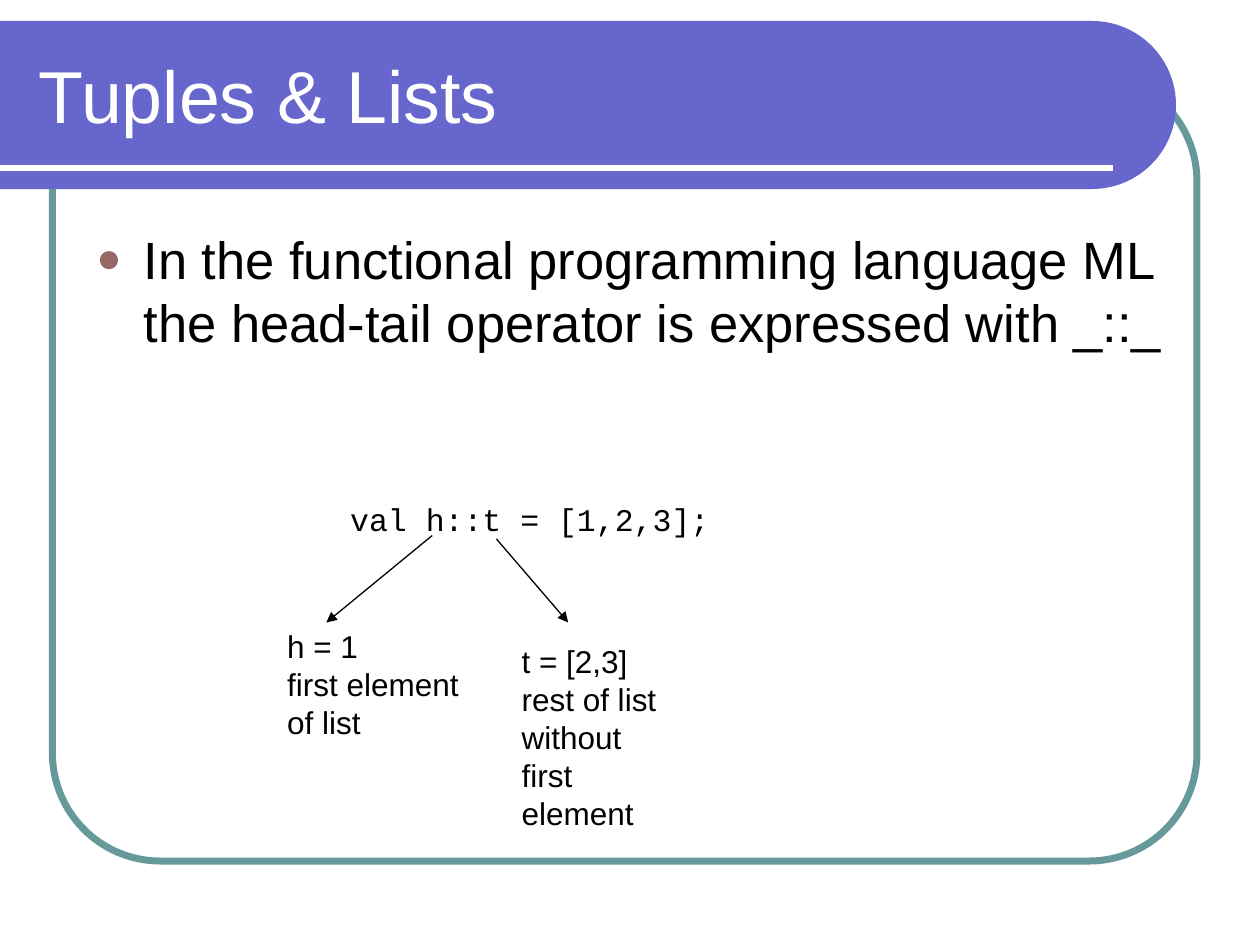
import math

from lxml import etree
from pptx import Presentation
from pptx.dml.color import RGBColor
from pptx.enum.shapes import MSO_CONNECTOR, MSO_SHAPE
from pptx.enum.text import MSO_ANCHOR, MSO_AUTO_SIZE, PP_ALIGN
from pptx.oxml.ns import qn
from pptx.util import Pt

ROUNDED = MSO_SHAPE.ROUNDED_RECTANGLE
STRAIGHT = MSO_CONNECTOR.STRAIGHT
MIDDLE, TOP = MSO_ANCHOR.MIDDLE, MSO_ANCHOR.TOP
FIT_SHAPE, NO_FIT = MSO_AUTO_SIZE.SHAPE_TO_FIT_TEXT, MSO_AUTO_SIZE.NONE
LEFT = PP_ALIGN.LEFT


def rgb(value):
    return RGBColor.from_string(value)


class Deck:
    sans, mono = "Arial", "Courier New"
    black, white = "000000", "FFFFFF"
    band_fill, frame_line, bullet_fill = "6666CC", "669999", "996666"

    def __init__(self, width, height):
        self.prs = Presentation()
        self.prs.slide_width, self.prs.slide_height = Pt(width), Pt(height)
        self.s = self.prs.slides.add_slide(self.prs.slide_layouts[5])

    def frame(self, x, y, w, h, radius, weight):
        sp = self.s.shapes.add_shape(ROUNDED, Pt(x), Pt(y), Pt(w), Pt(h))
        sp.adjustments[0] = radius
        sp.shadow.inherit = False
        sp.fill.background()
        sp.line.color.rgb = rgb(self.frame_line)
        sp.line.width = Pt(weight)

    def band(self, y, w, h):
        radius = h / 2
        cx, cy = w - radius, y + radius
        angles = [math.radians(a) for a in range(-90, 91, 3)]
        arc = [(Pt(cx + radius * math.cos(a)), Pt(cy + radius * math.sin(a)))
               for a in angles]
        builder = self.s.shapes.build_freeform(0, Pt(y))
        builder.add_line_segments(arc + [(0, Pt(y + h))], close=True)
        sp = builder.convert_to_shape()
        sp.shadow.inherit = False
        sp.fill.solid()
        sp.fill.fore_color.rgb = rgb(self.band_fill)
        sp.line.fill.background()

    def line(self, start, end, color, weight, arrow=False):
        sp = self.s.shapes.add_connector(STRAIGHT, *map(Pt, start + end))
        sp.line.color.rgb = rgb(color)
        sp.line.width = Pt(weight)
        if arrow:
            ln = sp.element.spPr.find(qn("a:ln"))
            etree.SubElement(ln, qn("a:tailEnd"), type="triangle")
        etree.SubElement(sp.element.spPr, qn("a:effectLst"))

    def style(self, p, size, color, font):
        p.alignment = LEFT
        p.font.size, p.font.name = Pt(size), font
        p.font.color.rgb = rgb(color)

    def title(self, text, x, y, w, h, size):
        sp = self.s.shapes.title
        sp.left, sp.top, sp.width, sp.height = map(Pt, (x, y, w, h))
        tf = sp.text_frame
        tf.text = text
        tf.word_wrap, tf.auto_size = True, NO_FIT
        tf.vertical_anchor = MIDDLE
        self.style(tf.paragraphs[0], size, self.white, self.sans)
        sp.element.getparent().append(sp.element)

    def text(self, text, x, y, w, h, size=18, font=sans, wrap=False):
        sp = self.s.shapes.add_textbox(Pt(x), Pt(y), Pt(w), Pt(h))
        tf = sp.text_frame
        tf.word_wrap = wrap
        tf.auto_size = NO_FIT if wrap else FIT_SHAPE
        tf.vertical_anchor = TOP
        p = tf.paragraphs[0]
        p.text = text
        self.style(p, size, self.black, font)
        return p

    def bullet(self, text, x, y, w, h, size, indent):
        p = self.text(text, x, y, w, h, size, wrap=True)
        p.space_before = Pt(7.5)
        pPr = p._p.get_or_add_pPr()
        pPr.set("marL", str(Pt(indent)))
        pPr.set("indent", str(-Pt(indent)))
        defaults = pPr.find(qn("a:defRPr"))
        color = etree.Element(qn("a:buClr"))
        etree.SubElement(color, qn("a:srgbClr"), val=self.bullet_fill)
        marks = [color,
                 etree.Element(qn("a:buSzPct"), val="80000"),
                 etree.Element(qn("a:buFont"), typeface=self.sans),
                 etree.Element(qn("a:buChar"), char="●")]
        for mark in marks:
            defaults.addprevious(mark)


def main():
    deck = Deck(720, 540)
    deck.frame(30, 42, 654, 450, 0.137, 4)
    deck.band(12, 672, 96)
    deck.line((0, 96), (636, 96), deck.white, 3)
    deck.title("Tuples & Lists", 15, 18, 631.5, 72, 42)
    deck.bullet("In the functional programming language ML "
                "the head-tail operator is expressed with _::_",
                48, 126, 624, 108, 30, 27)
    deck.text("val h::t = [1,2,3];", 193, 282, 219.6, 28.8, font=deck.mono)
    deck.line((247, 306), (186.5, 355.7), deck.black, 0.75, arrow=True)
    deck.line((283.7, 308), (324.7, 355.7), deck.black, 0.75, arrow=True)
    deck.text("h = 1\nfirst element\nof list", 157, 355, 112.3, 72)
    deck.text("t = [2,3]\nrest of list\nwithout first\nelement",
              291, 363.6, 105.1, 93.6)
    deck.prs.save("out.pptx")


if __name__ == "__main__":
    main()
